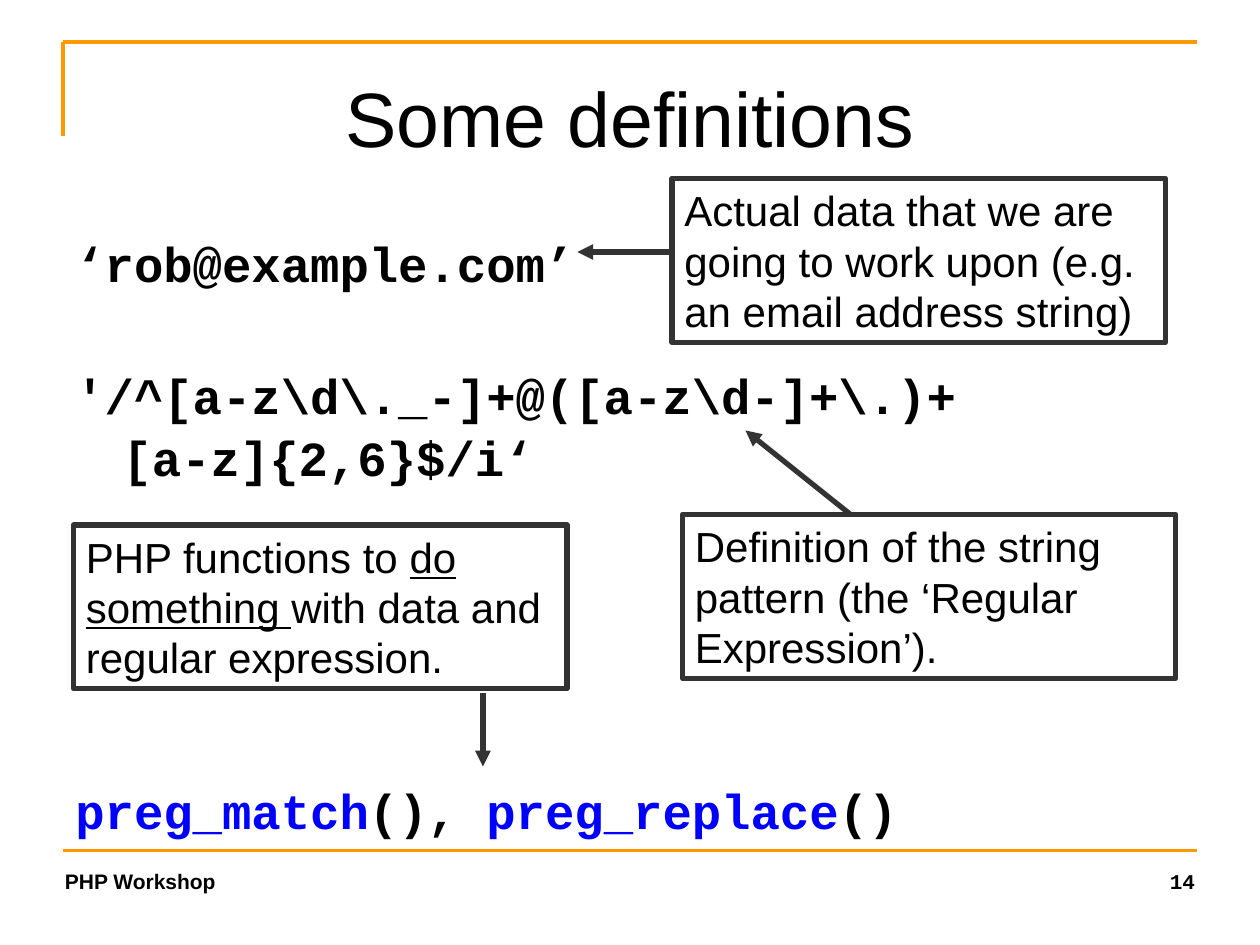
from lxml.etree import SubElement
from pptx import Presentation
from pptx.dml.color import RGBColor
from pptx.enum.shapes import MSO_CONNECTOR, MSO_SHAPE
from pptx.enum.text import MSO_ANCHOR, PP_ALIGN
from pptx.oxml.ns import qn
from pptx.util import Pt

BLACK, BLUE, ORANGE, GRAY = "000000", "0000FF", "FF9900", "333333"
SANS, MONO = "Arial", "Courier New"


def color(hex_string):
    return RGBColor.from_string(hex_string)


def add_span(para, text, *, font=SANS, size=24, ink=BLACK, bold=False, underline=False):
    span = para.add_run()
    span.text = text
    span.font.name = font
    span.font.size = Pt(size)
    span.font.bold = bold
    span.font.underline = underline
    span.font.color.rgb = color(ink)


class Page:
    """Holds the style and the current slide."""
    line_width = 3
    note_size = (282, 93.6)
    note_pitch = 28.8
    code_pitch = 35.4
    code_style = {"font": MONO, "size": 28, "bold": True}

    def __init__(self, deck):
        self.slide = deck.slides.add_slide(deck.slide_layouts[5])
        self.shapes = self.slide.shapes

    def title(self, text, left, top, width, height):
        box = self.shapes.title
        box.left, box.top, box.width, box.height = map(Pt, (left, top, width, height))
        frame = box.text_frame
        frame.vertical_anchor = MSO_ANCHOR.MIDDLE
        para = frame.paragraphs[0]
        para.alignment = PP_ALIGN.CENTER
        add_span(para, text, size=44)

    def line(self, start, end, ink=GRAY, width=line_width, arrow=False):
        line = self.shapes.add_connector(MSO_CONNECTOR.STRAIGHT, *map(Pt, (*start, *end)))
        line.line.color.rgb = color(ink)
        line.line.width = Pt(width)
        properties = line._element.spPr
        if arrow:
            SubElement(properties.find(qn("a:ln")), qn("a:tailEnd"), type="triangle")
        SubElement(properties, qn("a:effectLst"))

    def text_box(self, left, top, width, height):
        box = self.shapes.add_textbox(*map(Pt, (left, top, width, height)))
        box.text_frame.word_wrap = True
        return box.text_frame

    def footer(self, text, left, width, align, font):
        para = self.text_box(left, 493, width, 23).paragraphs[0]
        para.alignment = align
        add_span(para, text, font=font, size=12, bold=True)

    def code(self, left, top, width, height, paragraphs):
        """Each paragraph is its space before and its lines of (text, ink) spans."""
        frame = self.text_box(left, top, width, height)
        for index, (gap, lines) in enumerate(paragraphs):
            para = frame.add_paragraph() if index else frame.paragraphs[0]
            para.line_spacing = Pt(self.code_pitch)
            para.space_before = Pt(gap)
            properties = para._p.get_or_add_pPr()
            properties.set("marL", str(Pt(27)))
            properties.set("indent", str(Pt(-27)))
            for number, spans in enumerate(lines):
                if number:
                    para.add_line_break()
                for text, ink in spans:
                    add_span(para, text, ink=ink, **self.code_style)

    def note(self, left, top, *spans):
        """Framed note; every span is its text and whether it is underlined."""
        box = self.shapes.add_shape(MSO_SHAPE.RECTANGLE, *map(Pt, (left, top, *self.note_size)))
        box.shadow.inherit = False
        box.fill.background()
        box.line.color.rgb = color(GRAY)
        box.line.width = Pt(self.line_width)
        frame = box.text_frame
        frame.word_wrap = True
        frame.vertical_anchor = MSO_ANCHOR.TOP
        para = frame.paragraphs[0]
        para.alignment = PP_ALIGN.LEFT
        para.line_spacing = Pt(self.note_pitch)
        for text, underline in spans:
            add_span(para, text, underline=underline)


def main():
    deck = Presentation()
    deck.slide_width, deck.slide_height = Pt(720), Pt(540)
    page = Page(deck)

    # Frame lines and footer
    for start, end in [((36, 486), (684, 486)), ((36, 24), (684, 24)), ((36, 78), (36, 24))]:
        page.line(start, end, ink=ORANGE, width=2)
    page.footer("PHP Workshop", 30, 179, PP_ALIGN.LEFT, SANS)
    page.footer("14", 505, 185, PP_ALIGN.RIGHT, MONO)

    # Title and code samples
    page.title("Some definitions", 36, 21.6, 648, 90)
    page.code(36, 128, 648, 354, [
        (0, [[("‘rob@example.com’", BLACK)]]),
        (40, [[("'/^[a-z\\d\\._-]+@([a-z\\d-]+\\.)+", BLACK)],
              [("[a-z]{2,6}$/i‘", BLACK)]]),
        (166.3, [[("preg_match", BLUE), ("(), ", BLACK),
                  ("preg_replace", BLUE), ("()", BLACK)]]),
    ])

    # Notes with their arrows
    page.note(384, 102, ("Actual data that we are going to work upon "
                         "(e.g. an email address string)", False))
    page.line((384, 144), (330, 144), arrow=True)
    page.note(390, 294, ("Definition of the string pattern "
                         "(the ‘Regular Expression’).", False))
    page.line((486, 294), (426, 246), arrow=True)
    page.note(42, 300, ("PHP functions to ", False), ("do something ", True),
              ("with data and regular expression.", False))
    page.line((276, 396), (276, 438), arrow=True)

    deck.save("out.pptx")


if __name__ == "__main__":
    main()
